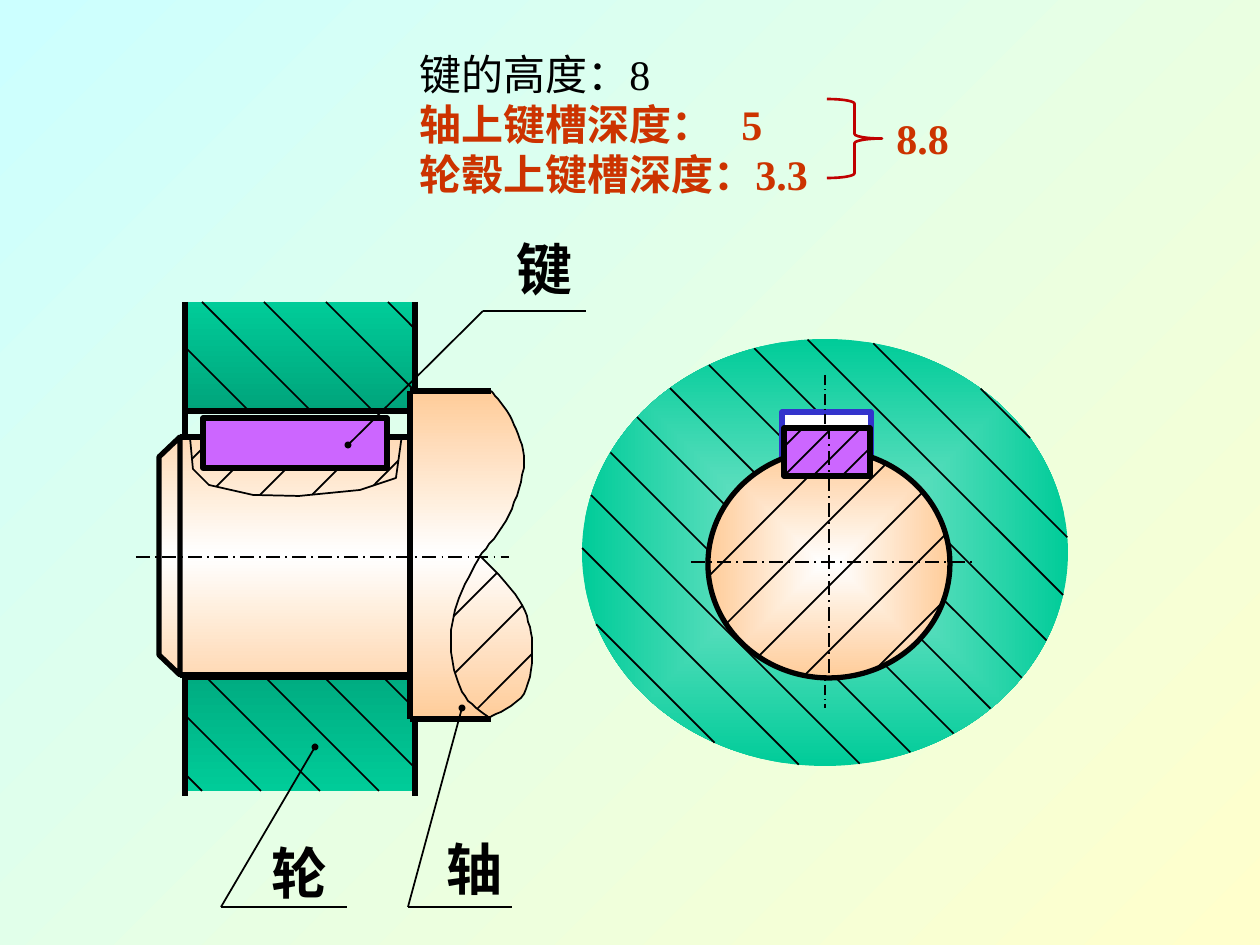
from copy import deepcopy
from itertools import pairwise
from math import cos, pi, sin
from pptx import Presentation
from pptx import util as u
from pptx.dml.color import RGBColor
from pptx.enum import dml, shapes, text
from pptx.oxml.ns import qn
from lxml import etree

PX = 914400 / 126
BLACK, WHITE = RGBColor(0, 0, 0), RGBColor(255, 255, 255)
RED, BRACE_RED = RGBColor(0xCC, 0x33, 0), RGBColor(0xC0, 0, 0)
PURPLE, BLUE = RGBColor(0xCC, 0x66, 0xFF), RGBColor(0x33, 0x33, 0xCC)
GREEN, MINT = RGBColor(0, 0xCC, 0x99), RGBColor(0x82, 0xE6, 0xCD)
UPPER_GREEN, LOWER_GREEN = RGBColor(0, 0xA4, 0x7B), RGBColor(0, 0xAC, 0x81)
PEACH = RGBColor(0xFF, 0xCC, 0x99)
SKY, CREAM = RGBColor(0xCC, 0xFF, 0xFF), RGBColor(0xFF, 0xFF, 0xCC)
FONT = "Times New Roman"
THICK, THIN = 3, 1
FALLING, RISING = 1, -1

NOTES = [("键的高度：8", BLACK, False), ("轴上键槽深度：\t5", RED, True), ("轮毂上键槽深度：3.3", RED, True)]
TOTAL = [("8.8", RED, True)]
CALLOUTS = [
    {"part": "轮", "corner": (253, 832), "tip": (315, 747), "elbow": (221, 907), "shelf_end": 347},
    {"part": "轴", "corner": (428, 828), "tip": (462, 708), "elbow": (408, 907), "shelf_end": 512},
    {"part": "键", "corner": (498, 228), "tip": (348, 445), "elbow": (483, 311), "shelf_end": 586},
]

WHEEL_LEFT, WHEEL_RIGHT, WHEEL_TOP, WHEEL_BOTTOM = 185, 415, 302, 791
HUB_TOP, HUB_BOTTOM = 411, 677
NOSE, NECK, SHOULDER, CHAMFER = 159, 180, 410, 20
JOURNAL_TOP, JOURNAL_BOTTOM = 437, 675
COLLAR_TOP, COLLAR_BOTTOM, COLLAR_END = 391, 719, 491
SIDE_KEY = (203, 418, 387, 468)
SLOT_BREAK = [(190, 437), (193, 469), (209, 485), (253, 495),
              (299, 496), (360, 490), (396, 478), (402, 435)]
UPPER_BREAK = [(491, 391), (512, 420), (524, 462), (509, 515), (480, 556)]
LOOP_LEFT = [(480, 556), (457, 604), (451, 646), (462, 692), (489, 718)]
LOOP_RIGHT = [(489, 718), (524, 694), (532, 644), (519, 600), (480, 556)]

DISC = (582, 339, 1068, 766)
BORE = (708, 450, 950, 678)
KEYWAY = (782, 412, 871, 464)
END_KEY = (784, 428, 870, 476)

prs = Presentation()
prs.slide_width, prs.slide_height = u.Inches(10), u.Inches(7.5)
slide = prs.slides.add_slide(prs.slide_layouts[6])


def emu(*lengths):
    return [round(n * PX) for n in lengths]


def box_points(box):
    left, top, right, bottom = box
    return [(left, top), (right, top), (right, bottom), (left, bottom)]


def oval_points(box, count=120):
    left, top, right, bottom = box
    turns = [2 * pi * i / count for i in range(count)]
    return [((left + right + (right - left) * cos(a)) / 2,
             (top + bottom + (bottom - top) * sin(a)) / 2) for a in turns]


def spline(knots, steps=8):
    padded = [knots[0], *knots, knots[-1]]
    curve = [knots[0]]
    for i in range(len(knots) - 1):
        for t in (n / steps for n in range(1, steps + 1)):
            curve.append(tuple(
                b + t * (c - a + t * (2 * a - 5 * b + 4 * c - d + t * (3 * b - a - 3 * c + d))) / 2
                for a, b, c, d in zip(*padded[i:i + 4])))
    return curve


def chord(region, slope, offset):
    crossings = []
    for (x1, y1), (x2, y2) in pairwise([*region, region[0]]):
        side1, side2 = y1 - slope * x1 - offset, y2 - slope * x2 - offset
        if (side1 < 0) != (side2 < 0):
            crossings.append(x1 + (x2 - x1) * side1 / (side1 - side2))
    return [min(crossings), max(crossings)] if crossings else []


def gradient(fill, owner, colors, angle=None):
    fill.gradient()
    grad = next(owner.iter(qn("a:gradFill")))
    stops = grad.find(qn("a:gsLst"))
    while len(stops) < len(colors):
        stops.append(deepcopy(stops[-1]))
    for i, (stop, color) in enumerate(zip(fill.gradient_stops, colors)):
        stop.color.rgb = color
        stop.position = i / (len(colors) - 1)
    if angle is not None:
        fill.gradient_angle = 360 - angle
        return
    centred = etree.Element(qn("a:path"), {"path": "rect"})
    etree.SubElement(centred, qn("a:fillToRect"), dict.fromkeys("ltrb", "50000"))
    grad.replace(grad.find(qn("a:lin")), centred)


def paint(shape, fill=None, line=None, weight=THIN, angle=None):
    shape.shadow.inherit = False
    if isinstance(fill, list):
        gradient(shape.fill, shape._element.spPr, fill, angle)
    elif fill is not None:
        shape.fill.solid()
        shape.fill.fore_color.rgb = fill
    else:
        shape.fill.background()
    if line is None:
        shape.line.fill.background()
    else:
        shape.line.color.rgb = line
        shape.line.width = u.Pt(weight)


def preset(kind, box, **look):
    left, top, right, bottom = box
    paint(slide.shapes.add_shape(kind, *emu(left, top, right - left, bottom - top)), **look)


def outline(points, close=False, **look):
    builder = slide.shapes.build_freeform(*points[0], scale=PX)
    builder.add_line_segments(points[1:], close=close)
    paint(builder.convert_to_shape(), **look)


def stroke(start, end, weight=THIN, dashed=False, dotted=False):
    segment = slide.shapes.add_connector(shapes.MSO_CONNECTOR.STRAIGHT, *emu(*start, *end))
    segment.line.color.rgb = BLACK
    segment.line.width = u.Pt(weight)
    if dashed:
        segment.line.dash_style = dml.MSO_LINE.LONG_DASH_DOT
    if dotted:
        etree.SubElement(segment.line._get_or_add_ln(), qn("a:headEnd"), type="oval", w="sm", len="sm")
    etree.SubElement(segment._element.spPr, qn("a:effectLst"))


def hatch(region, slope, first, step, count, holes=()):
    for offset in range(first, first + step * count, step):
        start, end = chord(region, slope, offset)
        cuts = [x for hole in holes for x in chord(hole, slope, offset)] or [end]
        for x1, x2 in ((start, min(end, *cuts)), (max(start, *cuts), end)):
            if x2 - x1 > 4:
                stroke((x1, slope * x1 + offset), (x2, slope * x2 + offset))


def write(corner, size, rows, points, align, anchor=text.MSO_ANCHOR.TOP):
    frame = slide.shapes.add_textbox(*emu(*corner, *size)).text_frame
    frame.word_wrap = True
    frame.vertical_anchor = anchor
    frame.text = "\n".join(row[0] for row in rows)
    for paragraph, (words, color, bold) in zip(frame.paragraphs, rows):
        paragraph.alignment = align
        if "\t" in words:
            tabs = etree.SubElement(paragraph._p.get_or_add_pPr(), qn("a:tabLst"))
            etree.SubElement(tabs, qn("a:tab"), pos=str(emu(322)[0]), algn="l")
        for run in paragraph.runs:
            run.font.name, run.font.size = FONT, u.Pt(points)
            run.font.bold, run.font.color.rgb = bold, color


def draw_wheel():
    halves = [((WHEEL_LEFT, WHEEL_TOP, WHEEL_RIGHT, HUB_TOP), [GREEN, UPPER_GREEN], (-86, 62, 5)),
              ((WHEEL_LEFT, HUB_BOTTOM, WHEEL_RIGHT, WHEEL_BOTTOM), [LOWER_GREEN, GREEN], (294, 59, 6))]
    for box, colors, spacing in halves:
        preset(RECT, box, fill=colors, angle=90)
        hatch(box_points(box), FALLING, *spacing)
    for x in (WHEEL_LEFT, WHEEL_RIGHT):
        stroke((x, WHEEL_TOP), (x, WHEEL_BOTTOM + 5), THICK)
    for y in (HUB_TOP, HUB_BOTTOM):
        stroke((WHEEL_LEFT, y), (WHEEL_RIGHT, y), THICK)


def draw_shaft():
    upper, left, right = map(spline, (UPPER_BREAK, LOOP_LEFT, LOOP_RIGHT))
    nose = [(NECK, JOURNAL_TOP), (NOSE, JOURNAL_TOP + CHAMFER),
            (NOSE, JOURNAL_BOTTOM - CHAMFER), (NECK, JOURNAL_BOTTOM)]
    body = [*nose, (SHOULDER, JOURNAL_BOTTOM), (SHOULDER, COLLAR_BOTTOM), *right,
            *reversed(upper), (SHOULDER, COLLAR_TOP), (SHOULDER, JOURNAL_TOP)]
    outline(body, True, fill=[PEACH, WHITE, PEACH], angle=90)
    outline(nose, True, line=BLACK, weight=THICK)
    for y in (JOURNAL_TOP, JOURNAL_BOTTOM):
        stroke((NECK, y), (SHOULDER, y), THICK)
    for y in (COLLAR_TOP, COLLAR_BOTTOM):
        stroke((SHOULDER, y), (COLLAR_END, y), THICK)
    stroke((SHOULDER, COLLAR_TOP), (SHOULDER, COLLAR_BOTTOM), THICK)
    preset(RECT, SIDE_KEY, fill=PURPLE, line=BLACK, weight=THICK)
    outline(SLOT_BREAK, line=BLACK)
    outline([*upper, *left, *right], line=BLACK)
    hatch([*left, *right], RISING, 1070, 58, 3)
    hatch(SLOT_BREAK, RISING, 651, 52, 5, [box_points(SIDE_KEY)])
    stroke((136, 557), (509, 557), dashed=True)


def draw_section():
    bore, keyway, key = oval_points(BORE), box_points(KEYWAY), box_points(END_KEY)
    preset(OVAL, DISC, fill=[MINT, GREEN])
    hatch(oval_points(DISC), FALLING, -592, 62, 11, [bore, keyway])
    outline([keyway[i] for i in (3, 0, 1, 2)], fill=WHITE, line=BLUE, weight=THICK)
    stroke((825, 375), (825, 708), 0.75, dashed=True)
    preset(OVAL, BORE, fill=[WHITE, PEACH], line=BLACK, weight=THICK)
    preset(RECT, END_KEY, fill=PURPLE, line=BLACK, weight=THICK)
    hatch(bore, RISING, 1285, 65, 5, [key])
    hatch(key, RISING, 1231, 29, 4)
    stroke((829, 425), (829, 685), dashed=True)
    stroke((691, 562), (974, 562), dashed=True)


def draw_callouts():
    for callout in CALLOUTS:
        elbow = callout["elbow"]
        stroke(callout["tip"], elbow, dotted=True)
        stroke(elbow, (callout["shelf_end"], elbow[1]))
        write(callout["corner"], (93, 81), [(callout["part"], BLACK, True)], 32,
              text.PP_ALIGN.CENTER, text.MSO_ANCHOR.MIDDLE)


RECT, OVAL = shapes.MSO_SHAPE.RECTANGLE, shapes.MSO_SHAPE.OVAL
gradient(slide.background.fill, slide._element, [SKY, CREAM], 45)
draw_wheel()
draw_shaft()
draw_section()
draw_callouts()
write((407, 42), (556, 164), NOTES, 24, text.PP_ALIGN.LEFT)
preset(shapes.MSO_SHAPE.RIGHT_BRACE, (827, 99, 882, 178), line=BRACE_RED, weight=1.5)
write((883, 106), (79, 63), TOTAL, 24, text.PP_ALIGN.CENTER)
prs.save("out.pptx")
